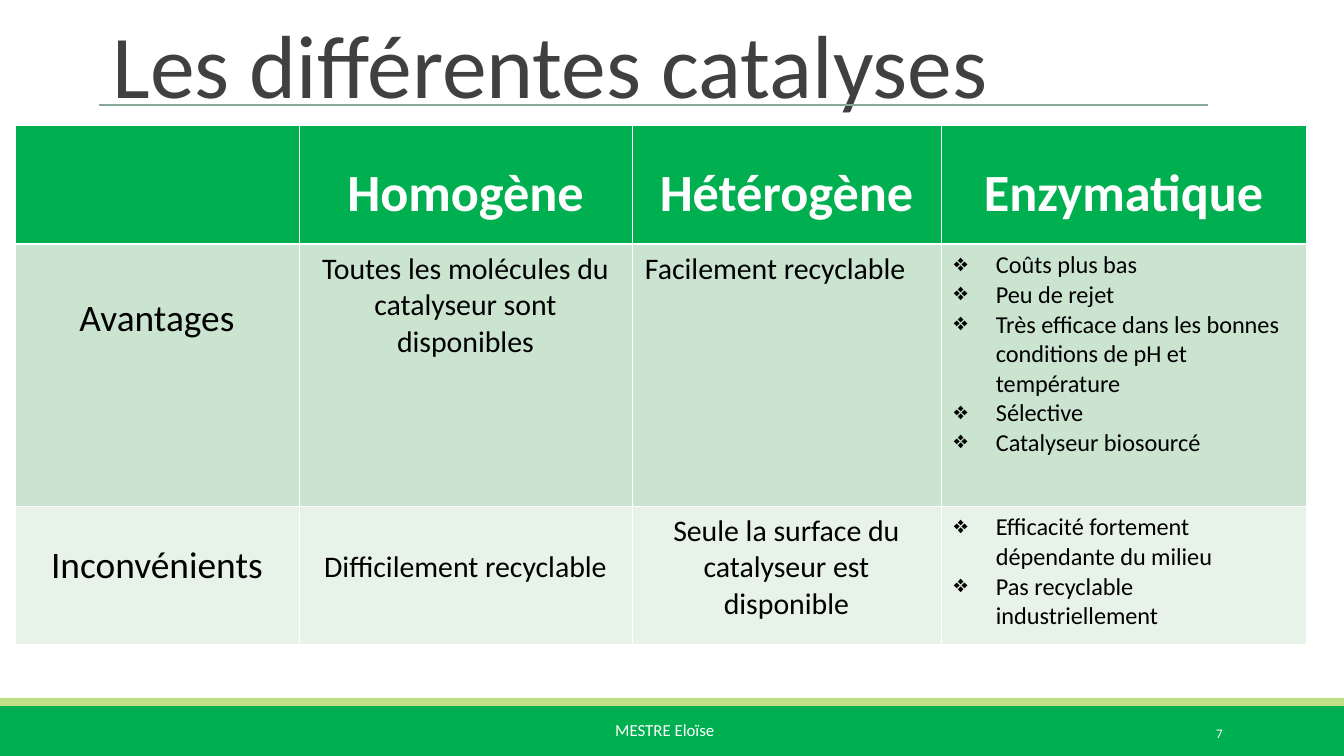
from lxml import etree
from pptx import Presentation
from pptx.dml.color import RGBColor
from pptx.enum.shapes import MSO_CONNECTOR, MSO_SHAPE
from pptx.enum.text import MSO_ANCHOR, MSO_AUTO_SIZE, PP_ALIGN
from pptx.oxml.ns import qn
from pptx.util import Emu, Pt

LEFT, CENTER, RIGHT = PP_ALIGN.LEFT, PP_ALIGN.CENTER, PP_ALIGN.RIGHT
TOP, MIDDLE, BOTTOM = MSO_ANCHOR.TOP, MSO_ANCHOR.MIDDLE, MSO_ANCHOR.BOTTOM
RECTANGLE, STRAIGHT = MSO_SHAPE.RECTANGLE, MSO_CONNECTOR.STRAIGHT
NO_AUTOFIT = MSO_AUTO_SIZE.NONE
EMU_PER_PX = 914400 / 134.4
COLORS = {
    "green": "00B050", "lime": "C1DF87", "rule": "87A896",
    "title": "404040", "white": "FFFFFF", "black": "000000",
    "band": "CBE4D0", "pale": "E7F2E9",
}


def px(length):
    return Emu(round(length * EMU_PER_PX))


def rgb(name):
    return RGBColor.from_string(COLORS[name])


class SlideBuilder:
    """Draws styled elements on the current slide."""

    font_name = "Calibri"
    margin_x, margin_y = 13, 7
    bullet, bullet_indent = "❖", 42
    thin, thick = 0.45, 1.47

    def __init__(self, presentation):
        self.slide = presentation.slides.add_slide(presentation.slide_layouts[5])

    def style(self, paragraph, size, color, align=LEFT, bold=False):
        paragraph.alignment = align
        font = paragraph.font
        font.name, font.size, font.bold = self.font_name, Pt(size), bold
        font.color.rgb = rgb(color)

    def add_bullet(self, paragraph):
        properties = paragraph._p.get_or_add_pPr()
        properties.set("marL", str(px(self.bullet_indent)))
        properties.set("indent", str(-px(self.bullet_indent)))
        color = etree.SubElement(properties, qn("a:buClr"))
        etree.SubElement(color, qn("a:srgbClr"), val=COLORS["black"])
        etree.SubElement(properties, qn("a:buChar"), char=self.bullet)

    def bar(self, left, top, width, height, color):
        shape = self.slide.shapes.add_shape(
            RECTANGLE, px(left), px(top), px(width), px(height))
        shape.shadow.inherit = False
        shape.fill.solid()
        shape.fill.fore_color.rgb = rgb(color)
        shape.line.fill.background()

    def rule(self, left, top, width, color):
        connector = self.slide.shapes.add_connector(
            STRAIGHT, px(left), px(top), px(left + width), px(top))
        connector.line.color.rgb = rgb(color)
        connector.line.width = Pt(1)
        etree.SubElement(connector._element.spPr, qn("a:effectLst"))

    def title(self, text, left, top, width, height):
        shape = self.slide.shapes.title
        shape.left, shape.top = px(left), px(top)
        shape.width, shape.height = px(width), px(height)
        frame = shape.text_frame
        frame.text = text
        frame.auto_size, frame.vertical_anchor = NO_AUTOFIT, BOTTOM
        paragraph = frame.paragraphs[0]
        paragraph.line_spacing = 0.85
        self.style(paragraph, 48, "title")

    def label(self, text, left, top, width, height, size, align, anchor):
        shape = self.slide.shapes.add_textbox(
            px(left), px(top), px(width), px(height))
        frame = shape.text_frame
        frame.word_wrap, frame.vertical_anchor = True, anchor
        frame.text = text
        self.style(frame.paragraphs[0], size, "white", align)

    def table(self, left, top, columns, rows):
        shape = self.slide.shapes.add_table(
            len(rows), len(columns), px(left), px(top),
            px(sum(columns)), px(sum(rows)))
        table = shape.table
        for column, width in zip(table.columns, columns):
            column.width = px(width)
        for row, height in zip(table.rows, rows):
            row.height = px(height)
        return table

    def borders(self, cell, top, bottom):
        widths = {"a:lnL": self.thin, "a:lnR": self.thin,
                  "a:lnT": top, "a:lnB": bottom}
        properties = cell._tc.get_or_add_tcPr()
        for index, (tag, width) in enumerate(widths.items()):
            line = etree.Element(qn(tag), w=str(Pt(width)))
            fill = etree.SubElement(line, qn("a:solidFill"))
            etree.SubElement(fill, qn("a:srgbClr"), val=COLORS["white"])
            properties.insert(index, line)

    def cell(self, cell, lines, size, fill, color="black", align=CENTER,
             offset=0, bold=False, bulleted=False):
        cell.fill.solid()
        cell.fill.fore_color.rgb = rgb(fill)
        cell.margin_left = cell.margin_right = px(self.margin_x)
        cell.margin_top = px(self.margin_y + offset)
        cell.margin_bottom = px(self.margin_y)
        cell.text = "\n".join(lines)
        for paragraph in cell.text_frame.paragraphs:
            if bulleted:
                self.add_bullet(paragraph)
            self.style(paragraph, size, color, align, bold)


def fill_table(builder, table):
    for index, heading in enumerate(
            ["", "Homogène", "Hétérogène", "Enzymatique"]):
        cell = table.cell(0, index)
        builder.cell(cell, [heading], 28, "green", "white",
                     offset=30, bold=True)
        builder.borders(cell, builder.thin, builder.thick)

    body = [
        ("band", builder.thick, [
            ("Avantages", 20, CENTER, 45),
            ("Toutes les molécules du catalyseur sont disponibles",
             16, CENTER, 0),
            ("Facilement recyclable", 16, LEFT, 0),
        ], ["Coûts plus bas", "Peu de rejet",
            "Très efficace dans les bonnes conditions de pH et température",
            "Sélective", "Catalyseur biosourcé"]),
        ("pale", builder.thin, [
            ("Inconvénients", 20, CENTER, 30),
            ("Difficilement recyclable", 16, CENTER, 36),
            ("Seule la surface du catalyseur est disponible", 16, CENTER, 0),
        ], ["Efficacité fortement dépendante du milieu",
            "Pas recyclable industriellement"]),
    ]
    for row, (fill, top_border, entries, points) in enumerate(body, start=1):
        for column, (text, size, align, offset) in enumerate(entries):
            builder.cell(table.cell(row, column), [text], size, fill,
                         align=align, offset=offset)
        builder.cell(table.cell(row, len(entries)), points, 13, fill,
                     align=LEFT, bulleted=True)
        for column in range(len(entries) + 1):
            builder.borders(table.cell(row, column), top_border, builder.thin)


def main():
    presentation = Presentation()
    presentation.slide_width, presentation.slide_height = px(1344), px(756)
    builder = SlideBuilder(presentation)
    builder.bar(0, 706, 1344, 50, "green")
    builder.bar(0, 698, 1344, 8, "lime")
    builder.rule(99, 105, 1109, "rule")
    builder.label("MESTRE Eloïse", 602, 713, 140, 43, 9, LEFT, TOP)
    builder.label("7", 1091, 713, 145, 40, 7, RIGHT, MIDDLE)
    builder.title("Les différentes catalyses", 99, 22, 1109, 102)
    table = builder.table(15, 125, [284, 333, 309, 365], [119, 262, 138])
    fill_table(builder, table)
    presentation.save("out.pptx")


if __name__ == "__main__":
    main()
